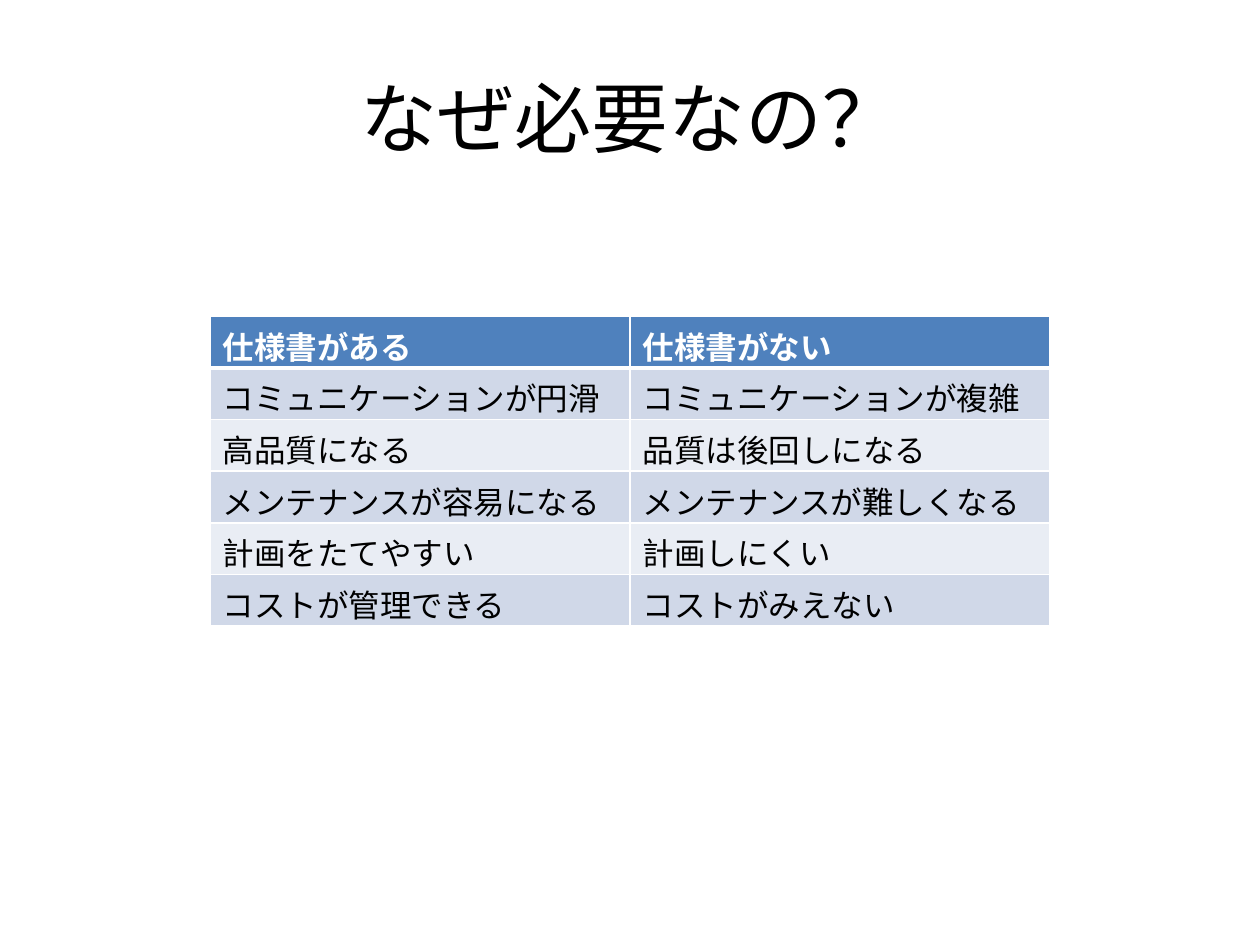
from lxml import etree
from pptx import Presentation
from pptx.dml.color import RGBColor
from pptx.enum.text import MSO_ANCHOR, PP_ALIGN
from pptx.oxml.ns import qn
from pptx.util import Inches, Pt

MIDDLE = MSO_ANCHOR.MIDDLE
CENTER = PP_ALIGN.CENTER
BLACK = RGBColor(0x00, 0x00, 0x00)
WHITE = RGBColor(0xFF, 0xFF, 0xFF)
HEADER_BLUE = RGBColor(0x4F, 0x81, 0xBD)
BAND_DARK = RGBColor(0xD0, 0xD8, 0xE8)
BAND_LIGHT = RGBColor(0xE9, 0xED, 0xF4)
FONT = "Calibri"
ROWS = [
    ("仕様書がある", "仕様書がない"),
    ("コミュニケーションが円滑", "コミュニケーションが複雑"),
    ("高品質になる", "品質は後回しになる"),
    ("メンテナンスが容易になる", "メンテナンスが難しくなる"),
    ("計画をたてやすい", "計画しにくい"),
    ("コストが管理できる", "コストがみえない"),
]


def add_run(paragraph, text, size, color, bold=False):
    run = paragraph.add_run()
    run.text = text
    run.font.name = FONT
    run.font.size = Pt(size)
    run.font.bold = bold
    run.font.color.rgb = color


def add_border(cell, side, width, color):
    """Draw one side (L, R, T or B) of a cell; call before the cell is filled."""
    properties = cell._tc.get_or_add_tcPr()
    line = etree.SubElement(properties, qn(f"a:ln{side}"), w=str(Pt(width)))
    fill = etree.SubElement(line, qn("a:solidFill"))
    etree.SubElement(fill, qn("a:srgbClr"), val=str(color))


presentation = Presentation()
presentation.slide_width = Inches(10)
presentation.slide_height = Inches(7.5)
slide = presentation.slides.add_slide(presentation.slide_layouts[6])

title = slide.shapes.add_textbox(Inches(0.5), Inches(0.3), Inches(9), Inches(1.25))
title.text_frame.word_wrap = True
title.text_frame.vertical_anchor = MIDDLE
title_paragraph = title.text_frame.paragraphs[0]
title_paragraph.alignment = CENTER
add_run(title_paragraph, "なぜ必要なの？", 44, BLACK)

# The table is two thirds of the slide wide and centred.
table_width = presentation.slide_width * 2 // 3
table_left = (presentation.slide_width - table_width) // 2
row_height = Inches(0.41)
table = slide.shapes.add_table(
    len(ROWS), len(ROWS[0]), table_left, Inches(2.51), table_width, row_height * len(ROWS)
).table

for row_index, texts in enumerate(ROWS):
    is_header = row_index == 0
    band = BAND_DARK if row_index % 2 else BAND_LIGHT
    for column_index, text in enumerate(texts):
        cell = table.cell(row_index, column_index)
        for side in "LRTB":
            # The rule under the header is shared with the first body row.
            is_header_rule = (row_index, side) in ((0, "B"), (1, "T"))
            add_border(cell, side, 3 if is_header_rule else 1, WHITE)
        cell.fill.solid()
        cell.fill.fore_color.rgb = HEADER_BLUE if is_header else band
        add_run(cell.text_frame.paragraphs[0], text, 18,
                WHITE if is_header else BLACK, is_header)

presentation.save("out.pptx")
